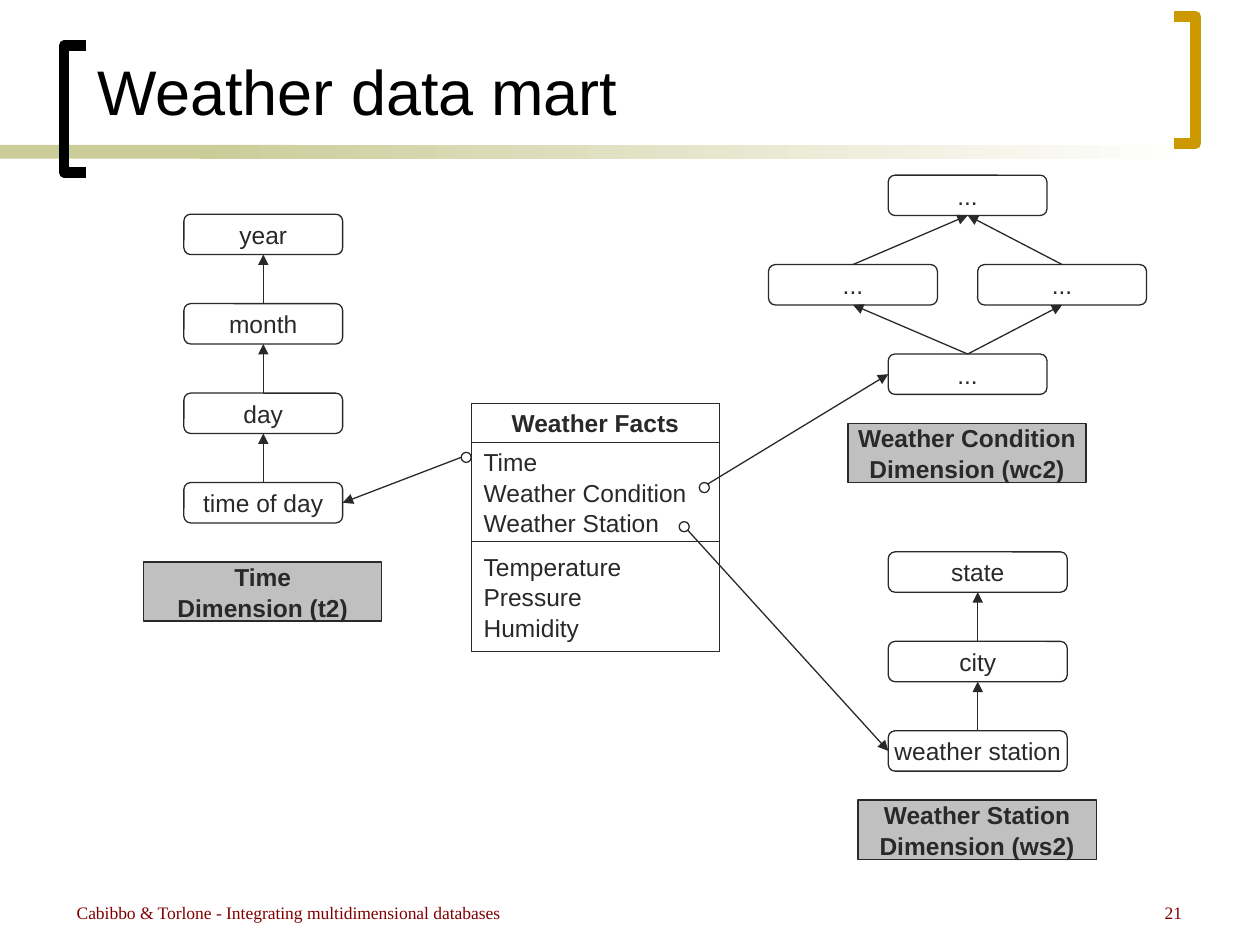
from pptx import Presentation
from pptx.dml.color import RGBColor
from pptx.enum.shapes import MSO_CONNECTOR, MSO_SHAPE
from pptx.enum.text import MSO_ANCHOR, PP_ALIGN
from pptx.oxml.ns import qn
from pptx.util import Inches, Pt
from lxml import etree

RECT, ROUND, OVAL = MSO_SHAPE.RECTANGLE, MSO_SHAPE.ROUNDED_RECTANGLE, MSO_SHAPE.OVAL
LEFT, CENTER, RIGHT = PP_ALIGN.LEFT, PP_ALIGN.CENTER, PP_ALIGN.RIGHT
MIDDLE, BOTTOM = MSO_ANCHOR.MIDDLE, MSO_ANCHOR.BOTTOM
STRAIGHT = MSO_CONNECTOR.STRAIGHT
SIDE_TOP, SIDE_LEFT, SIDE_BOTTOM, SIDE_RIGHT = range(4)

COLORS = {
    "ink": "292929", "title": "000000", "label": "C0C0C0", "band": "CCCC99",
    "white": "FFFFFF", "gold": "CC9900", "footer": "800000",
}
NODE_HEIGHT = 0.32
LEVEL_STEP = 0.71


def color(name):
    return RGBColor.from_string(COLORS[name])


def write(shape, text, size=14, font="Arial", ink="ink", bold=False, align=CENTER,
          anchor=MIDDLE, inset_x=0.0, inset_y=0.0, spacing=None):
    frame = shape.text_frame
    frame.text = text
    frame.word_wrap = True
    frame.vertical_anchor = anchor
    frame.margin_left = frame.margin_right = Inches(inset_x)
    frame.margin_top = frame.margin_bottom = Inches(inset_y)
    for para in frame.paragraphs:
        para.alignment = align
        para.line_spacing = spacing
        for span in para.runs:
            span.font.size = Pt(size)
            span.font.name = font
            span.font.bold = bold
            span.font.color.rgb = color(ink)


def add_box(page, kind, left, top, width, height, fill=None, outline="ink"):
    box = page.shapes.add_shape(
        kind, Inches(left), Inches(top), Inches(width), Inches(height))
    box.shadow.inherit = False
    if fill:
        box.fill.solid()
        box.fill.fore_color.rgb = color(fill)
    else:
        box.fill.background()
    if outline:
        box.line.color.rgb = color(outline)
        box.line.width = Pt(0.75)
    else:
        box.line.fill.background()
    return box


def add_node(page, text, left, top, width):
    node = add_box(page, ROUND, left, top, width, NODE_HEIGHT)
    write(node, text)
    return node


def add_label(page, text, left, top):
    label = add_box(page, RECT, left, top, 1.89, 0.47, fill="label")
    write(label, text, bold=True, spacing=1.04)


def add_arrow(page, target, target_side, source=None, start=(0, 0)):
    """Arrow to a side of target, from the top of source or from a free point."""
    x, y = (Inches(value) for value in start)
    arrow = page.shapes.add_connector(STRAIGHT, x, y, x, y)
    if source is not None:
        arrow.begin_connect(source, SIDE_TOP)
    arrow.end_connect(target, target_side)
    arrow.line.color.rgb = color("ink")
    arrow.line.width = Pt(0.75)
    line = arrow.line._get_or_add_ln()
    etree.SubElement(line, qn("a:tailEnd"), type="triangle")
    etree.SubElement(arrow._element.spPr, qn("a:effectLst"))


def add_bracket(page, tip, spine, top, bottom, ink):
    builder = page.shapes.build_freeform(Inches(tip), Inches(top))
    corners = [(spine, top), (spine, bottom), (tip, bottom)]
    builder.add_line_segments([(Inches(x), Inches(y)) for x, y in corners], close=False)
    bracket = builder.convert_to_shape()
    bracket.shadow.inherit = False
    bracket.fill.background()
    bracket.line.color.rgb = color(ink)
    bracket.line.width = Pt(6)


def build_heading(page):
    # Band under the title, fading out to the right
    add_box(page, RECT, 0, 1.15, 2.33, 0.11, fill="band", outline=None)
    fade = add_box(page, RECT, 1.58, 1.15, 7.92, 0.11, outline=None)
    fade.fill.gradient()
    fade.fill.gradient_angle = 0
    for stop, name in zip(fade.fill.gradient_stops, ("band", "white")):
        stop.color.rgb = color(name)
    add_bracket(page, 0.68, 0.51, 0.36, 1.37, "title")
    add_bracket(page, 9.32, 9.49, 0.13, 1.14, "gold")

    title = page.shapes.title
    title.left, title.top = Inches(0.67), Inches(0.36)
    title.width, title.height = Inches(8.5), Inches(0.71)
    write(title, "Weather data mart", size=36, ink="title", align=LEFT,
          anchor=BOTTOM, inset_x=0.1, inset_y=0.05)


def build_hierarchy(page, levels, left, top, width):
    """Stack of levels, each pointing up to the next; returns the lowest one."""
    upper = None
    for index, name in enumerate(levels):
        node = add_node(page, name, left, top + index * LEVEL_STEP, width)
        if upper is not None:
            add_arrow(page, upper, SIDE_BOTTOM, source=node)
        upper = node
    return upper


def build_diamond(page, left, top):
    """Condition levels with two parallel paths; returns the lowest one."""
    peak = add_node(page, "...", left + 0.95, top, 1.26)
    base = add_node(page, "...", left + 0.95, top + 2 * LEVEL_STEP, 1.26)
    for offset in (0, 1.66):
        branch = add_node(page, "...", left + offset, top + LEVEL_STEP, 1.34)
        add_arrow(page, branch, SIDE_BOTTOM, source=base)
        add_arrow(page, peak, SIDE_BOTTOM, source=branch)
    return base


def build_facts(page, left, top, width):
    header = add_box(page, RECT, left, top, width, 0.31)
    write(header, "Weather Facts", bold=True)
    sections = [
        (0.31, 0.79, "Time\nWeather Condition\nWeather Station"),
        (1.1, 0.87, "Temperature\nPressure\nHumidity"),
    ]
    for offset, height, text in sections:
        section = add_box(page, RECT, left, top + offset, width, height)
        write(section, text, align=LEFT, inset_x=0.1, spacing=1.04)


def build_links(page, time, condition, station):
    # Ring position, arrow start, target node and side
    links = [
        ((3.66, 3.59), (3.66, 3.63), time, SIDE_RIGHT),
        ((5.55, 3.83), (5.62, 3.84), condition, SIDE_LEFT),
        ((5.39, 4.14), (5.46, 4.21), station, SIDE_LEFT),
    ]
    for (left, top), start, target, side in links:
        add_box(page, OVAL, left, top, 0.08, 0.08)
        add_arrow(page, target, side, start=start)


def build_footer(page, top):
    parts = [
        (0.51, 6.69, LEFT, "Cabibbo & Torlone - Integrating multidimensional databases"),
        (7.4, 2.08, RIGHT, "21"),
    ]
    for left, width, align, text in parts:
        box = page.shapes.add_textbox(
            Inches(left), Inches(top), Inches(width), Inches(0.26))
        write(box, text, size=10, font="Times New Roman", ink="footer", align=align,
              anchor=MSO_ANCHOR.TOP, inset_x=0.1, inset_y=0.05)


def main():
    deck = Presentation()
    deck.slide_width, deck.slide_height = Inches(10), Inches(7.5)
    page = deck.slides.add_slide(deck.slide_layouts[5])

    build_heading(page)
    build_facts(page, 3.74, 3.2, 1.97)

    # Dimensions around the facts
    time = build_hierarchy(page, ["year", "month", "day", "time of day"], 1.46, 1.7, 1.26)
    add_label(page, "Time\nDimension (t2)", 1.14, 4.46)
    condition = build_diamond(page, 6.1, 1.39)
    add_label(page, "Weather Condition\nDimension (wc2)", 6.73, 3.36)
    station = build_hierarchy(page, ["state", "city", "weather station"], 7.05, 4.38, 1.42)
    add_label(page, "Weather Station\nDimension (ws2)", 6.81, 6.35)

    build_links(page, time, condition, station)
    build_footer(page, 7.11)
    deck.save("out.pptx")


if __name__ == "__main__":
    main()
